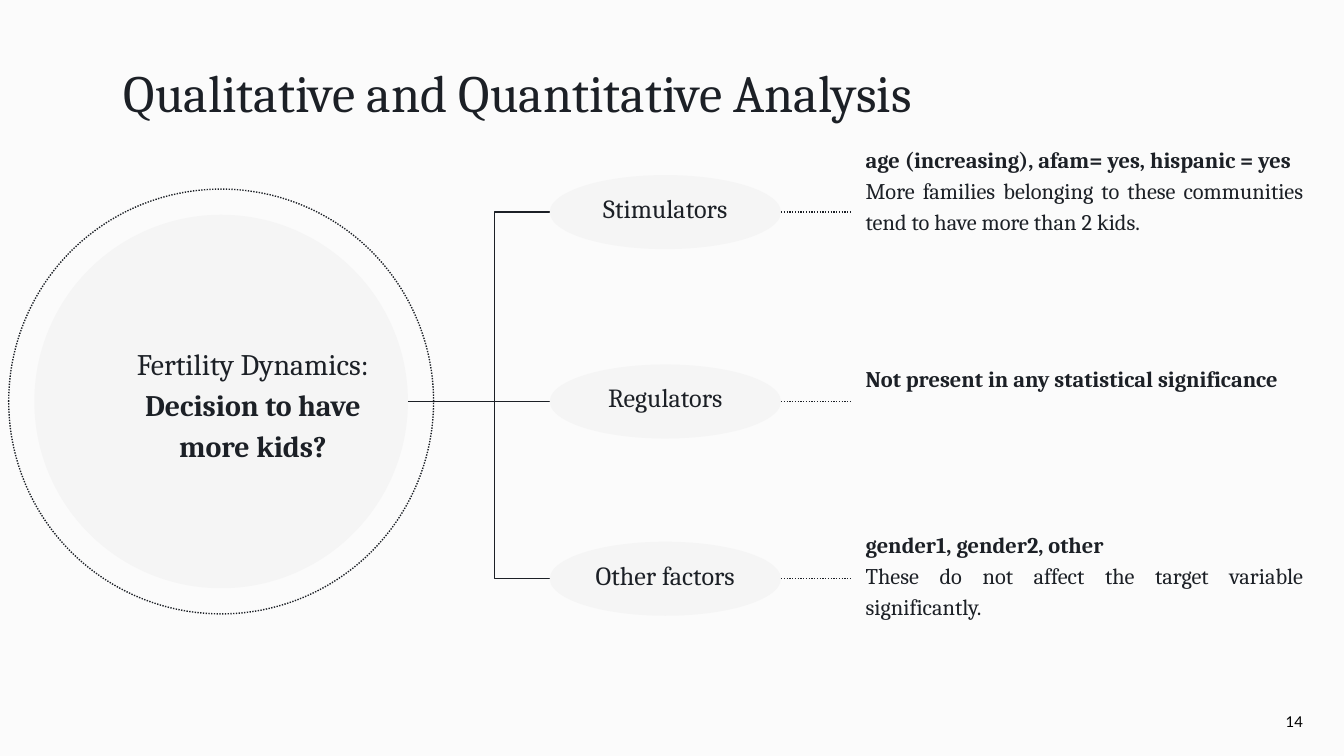
from lxml.etree import SubElement
from pptx import Presentation
from pptx.dml.color import RGBColor
from pptx.enum.dml import MSO_LINE
from pptx.enum.shapes import MSO_CONNECTOR, MSO_SHAPE
from pptx.enum.text import MSO_ANCHOR, MSO_AUTO_SIZE, PP_ALIGN
from pptx.oxml.ns import qn
from pptx.util import Cm, Pt

INK = RGBColor(0x1C, 0x20, 0x26)
BLACK = RGBColor(0x00, 0x00, 0x00)
PALE = RGBColor(0xF5, 0xF5, 0xF5)
PAPER = RGBColor(0xFB, 0xFB, 0xFB)

# Content: a paragraph is a list of (words, bold) lines
TITLE = [[("Qualitative and Quantitative Analysis", False)]]
QUESTION = [[("Fertility Dynamics:", False), ("Decision to have more kids?", True)]]
PAGE_NUMBER = [[("14", False)]]
# Label, centre of the row, top and height of the note, alignment, note
FACTORS = [
    ("Stimulators", 4.01, 2.69, 3.35, PP_ALIGN.JUSTIFY, [
        [("age (increasing), afam= yes, hispanic = yes", True)],
        [("More families belonging to these communities tend to have more than 2 kids.", False)]]),
    ("Regulators", 7.59, 6.83, 1.3, PP_ALIGN.LEFT, [
        [("Not present in any statistical significance", True)]]),
    ("Other factors", 10.94, 9.96, 1.98, PP_ALIGN.JUSTIFY, [
        [("gender1, gender2, other", True)],
        [("These do not affect the target variable significantly.", False)]]),
]

# Layout in centimetres
CIRCLE_CENTRE, MIDDLE = 4.18, FACTORS[1][1]
RING_SIZE, DISC_SIZE = 8.03, 7.06
BRACKET_LEFT = 9.35
OVAL_LEFT, OVAL_WIDTH, OVAL_HEIGHT = 10.39, 4.37, 1.4
DOTS_END, NOTE_LEFT, NOTE_WIDTH = 16.08, 16.36, 8.28


def place(box, left, top, width, height):
    box.left, box.top, box.width, box.height = map(Cm, (left, top, width, height))


def write(box, paragraphs, size, font="Cambria", color=INK, align=PP_ALIGN.LEFT,
          anchor=MSO_ANCHOR.TOP, spacing=1.0, insets=(0, 0, 0, 0)):
    frame = box.text_frame
    frame.word_wrap = True
    frame.auto_size = MSO_AUTO_SIZE.NONE
    frame.vertical_anchor = anchor
    (frame.margin_left, frame.margin_top,
     frame.margin_right, frame.margin_bottom) = map(Cm, insets)
    for index, lines in enumerate(paragraphs):
        para = frame.add_paragraph() if index else frame.paragraphs[0]
        para.alignment, para.line_spacing = align, spacing
        para.space_before = para.space_after = Pt(0)
        properties = para._p.get_or_add_pPr()
        properties.set("marL", "0")
        properties.set("indent", "0")
        SubElement(properties, qn("a:buNone"))
        for number, (words, bold) in enumerate(lines):
            if number:
                para.add_line_break()
            span = para.add_run()
            span.text = words
            span.font.name, span.font.size = font, Pt(size)
            span.font.bold, span.font.color.rgb = bold, color


def style_line(line, dotted=False):
    line.color.rgb, line.width = INK, Pt(0.75)
    if dotted:
        line.dash_style = MSO_LINE.ROUND_DOT


def add_figure(page, kind, left, top, width, height, fill=None, dotted=False):
    figure = page.shapes.add_shape(kind, *map(Cm, (left, top, width, height)))
    figure.shadow.inherit = False
    if fill is None:
        figure.fill.background()
        style_line(figure.line, dotted)
    else:
        figure.fill.solid()
        figure.fill.fore_color.rgb = fill
        figure.line.fill.background()
    return figure


def add_rule(page, start, end, height, dotted=False):
    rule = page.shapes.add_connector(
        MSO_CONNECTOR.STRAIGHT, Cm(start), Cm(height), Cm(end), Cm(height))
    style_line(rule.line, dotted)
    SubElement(rule._element.spPr, qn("a:effectLst"))


def main():
    deck = Presentation()
    deck.slide_width, deck.slide_height = Cm(25.4), Cm(14.29)
    page = deck.slides.add_slide(deck.slide_layouts.get_by_name("Comparison"))
    page.background.fill.solid()
    page.background.fill.fore_color.rgb = PAPER
    title, question, *notes = page.placeholders

    # Title
    place(title, 2.34, 1.27, 19.13, 1.07)
    write(title, TITLE, 28, spacing=0.9)

    # Central question in its ring and disc
    for size, fill in ((RING_SIZE, None), (DISC_SIZE, PALE)):
        add_figure(page, MSO_SHAPE.OVAL, CIRCLE_CENTRE - size / 2,
                   MIDDLE - size / 2, size, size, fill, dotted=True)
    place(question, 2.24, 6.07, 5.08, 3.05)
    write(question, QUESTION, 16, align=PP_ALIGN.CENTER,
          anchor=MSO_ANCHOR.MIDDLE, spacing=1.15)
    page.shapes.element.append(question.element)  # bring in front of the disc

    # Bracket from the question to the factors
    first, last = FACTORS[0][1], FACTORS[-1][1]
    bracket = add_figure(page, MSO_SHAPE.LEFT_BRACKET, BRACKET_LEFT, first,
                         OVAL_LEFT - BRACKET_LEFT, last - first)
    bracket.adjustments[0] = 0
    add_rule(page, CIRCLE_CENTRE + DISC_SIZE / 2, OVAL_LEFT, MIDDLE)

    # Factors with their notes
    for note, (label, centre, top, height, align, text) in zip(notes, FACTORS):
        oval = add_figure(page, MSO_SHAPE.OVAL, OVAL_LEFT, centre - OVAL_HEIGHT / 2,
                          OVAL_WIDTH, OVAL_HEIGHT, PALE)
        write(oval, [[(label, False)]], 14, align=PP_ALIGN.CENTER,
              anchor=MSO_ANCHOR.MIDDLE, insets=(0, 0, 0, 0.15))
        add_rule(page, OVAL_LEFT + OVAL_WIDTH, DOTS_END, centre, dotted=True)
        place(note, NOTE_LEFT, top, NOTE_WIDTH, height)
        write(note, text, 12, align=align, spacing=1.15)

    # Page number
    number = page.shapes.add_textbox(Cm(24.05), Cm(13.39), Cm(0.94), Cm(0.51))
    write(number, PAGE_NUMBER, 8, font="Lato", color=BLACK,
          anchor=MSO_ANCHOR.MIDDLE, insets=(0.25, 0.25, 0.25, 0.25))

    deck.save("out.pptx")


if __name__ == "__main__":
    main()
